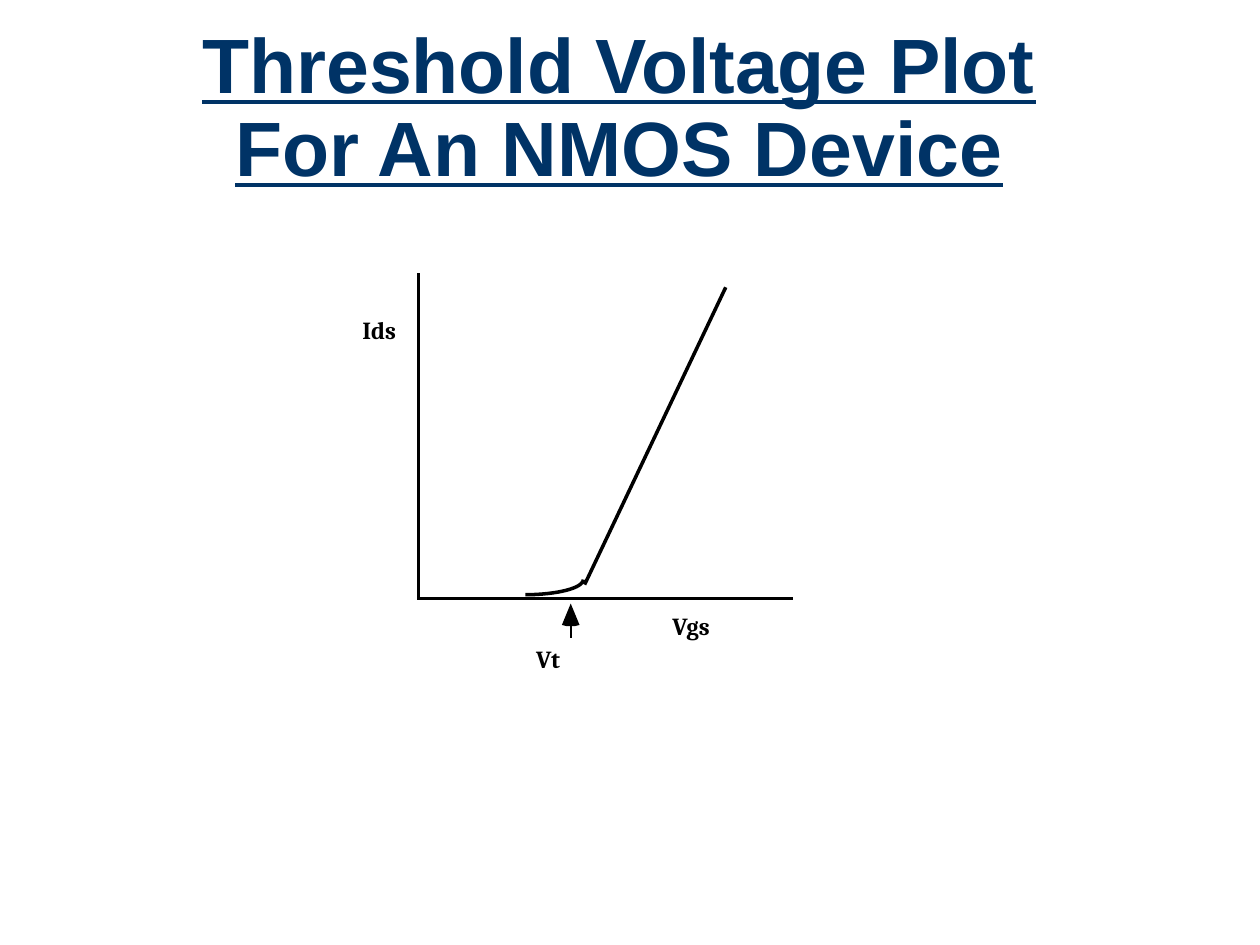
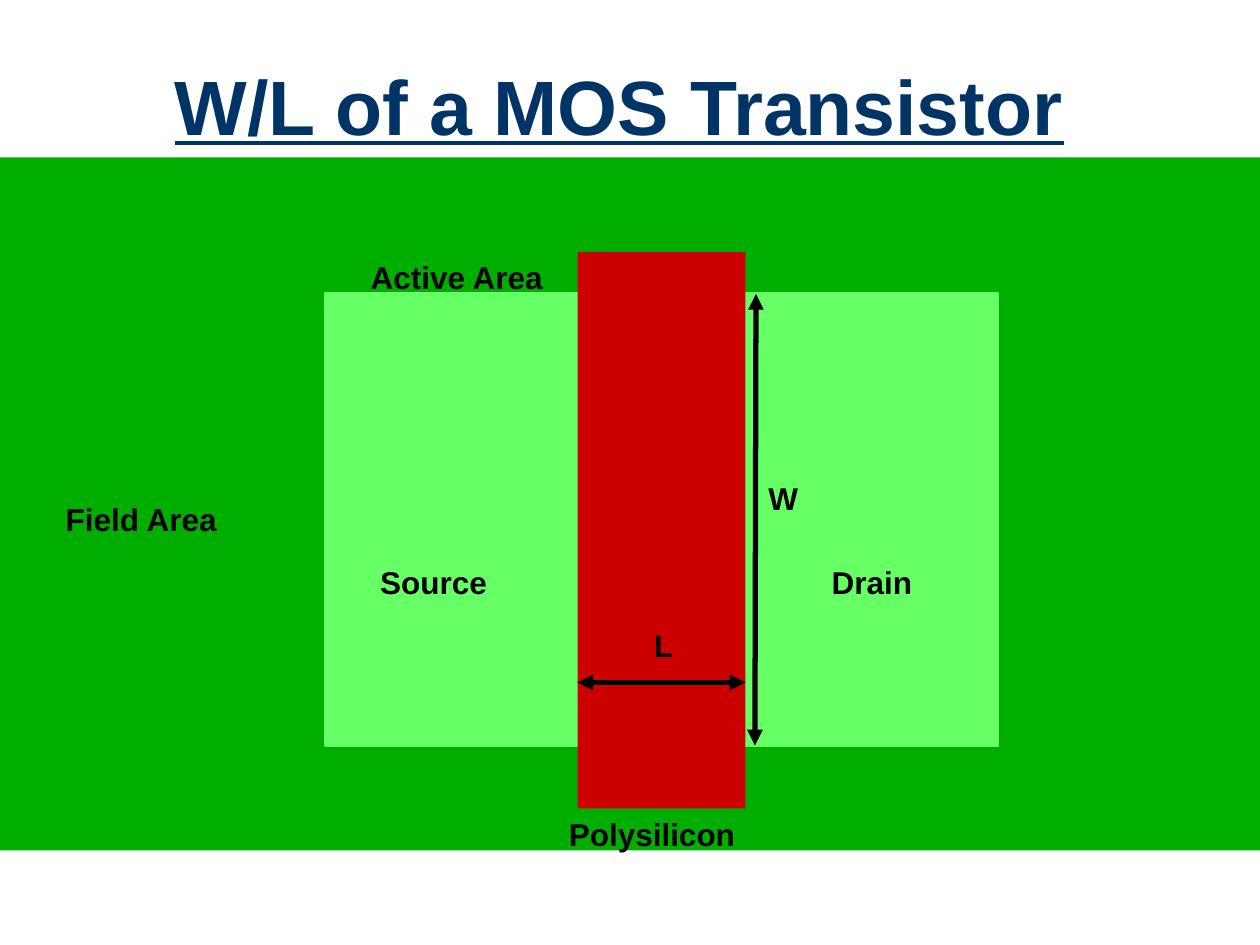
import math
from lxml import etree
from pptx import Presentation
from pptx import util as u
from pptx.dml.color import RGBColor
from pptx.enum import shapes, text
from pptx.oxml.ns import qn

SLIDE_W, SLIDE_H = 10, 7.5
NAVY, BLACK = "003366", "000000"
FIELD_GREEN, ACTIVE_GREEN, POLY_RED = "00AE00", "66FF66", "CC0000"
TITLE_BOX = (0.25, 0.25, 9.33, 1.25)

# Threshold plot, in inches
PLOT_TITLE = ["Threshold Voltage Plot", "For An NMOS Device"]
ORIGIN = (3.32, 4.75)
AXIS_TOP, AXIS_RIGHT = 2.17, 6.29
LINEAR_REGION = ((5.76, 2.28), (4.64, 4.64))
SUBTHRESHOLD = dict(left=4.17, top=4.6, width=0.46, height=0.12)
VT_X, VT_TIP, VT_BASE, VT_END = 4.53, 4.79, 4.96, 5.06
PLOT_LABELS = [  # wording, left, top, width
    ("Ids", 2.87, 2.5, 0.28),
    ("Vgs", 5.31, 4.85, 0.35),
    ("Vt", 4.24, 5.11, 0.22),
]

# Transistor layout, in cells of a twelfth of an inch: left, top, width, height
CELL = 1 / 12
LAYOUT_TITLE = ["W/L of a MOS Transistor"]
FIELD = (0, 15, 120, 66)
ACTIVE = (31, 28, 64, 43)
POLY = (55, 24, 16, 53)
LENGTH_ROW, WIDTH_COL = 65, 72
LABEL_ROWS = 4.8
LAYOUT_LABELS = [  # wording, left, top, width
    ("Active Area", 34.1, 24, 18.8),
    ("Polysilicon", 53, 77, 18.2),
    ("L", 61.1, 59, 4.2),
    ("W", 72, 45, 5.2),
    ("Source", 35, 53, 12.6),
    ("Drain", 78, 53, 10.1),
    ("Field Area", 5, 47, 16.9),
]


def color(hex_string):
    return RGBColor.from_string(hex_string)


def inches(values):
    return [u.Inches(v) for v in values]


def cells(values):
    return [v * CELL for v in values]


def write(frame, lines, font="Arial", size=18, fill=BLACK, underline=False,
          spacing=None, margins=(0.1, 0.05), wrap=False):
    """Fill a text frame with one centred bold paragraph, broken into lines."""
    frame.word_wrap = wrap
    frame.auto_size = text.MSO_AUTO_SIZE.NONE
    frame.vertical_anchor = text.MSO_ANCHOR.MIDDLE
    frame.margin_left = frame.margin_right = u.Inches(margins[0])
    frame.margin_top = frame.margin_bottom = u.Inches(margins[1])
    paragraph = frame.paragraphs[0]
    paragraph.alignment = text.PP_ALIGN.CENTER
    paragraph.line_spacing = spacing
    for i, line in enumerate(lines):
        if i:
            paragraph.add_line_break()
        run = paragraph.add_run()
        run.text = line
        run.font.name, run.font.size = font, u.Pt(size)
        run.font.bold, run.font.underline = True, underline
        run.font.color.rgb = color(fill)


def add_titled_slide(deck, title_lines):
    slide = deck.slides.add_slide(deck.slide_layouts[5])
    title = slide.shapes.title
    title.left, title.top, title.width, title.height = inches(TITLE_BOX)
    write(title.text_frame, title_lines, size=44, fill=NAVY, underline=True,
          spacing=0.9, wrap=True)
    return slide


def add_label(slide, wording, box, **style):
    write(slide.shapes.add_textbox(*inches(box)).text_frame, [wording], **style)


def paint(shape, fill=None, line=None, width=1):
    shape.shadow.inherit = False
    if fill:
        shape.fill.solid()
        shape.fill.fore_color.rgb = color(fill)
    else:
        shape.fill.background()
    if line:
        shape.line.color.rgb = color(line)
        shape.line.width = u.Pt(width)
    else:
        shape.line.fill.background()


def add_region(slide, box, fill, **line):
    region = slide.shapes.add_shape(shapes.MSO_SHAPE.RECTANGLE, *inches(cells(box)))
    paint(region, fill, **line)


def add_line(slide, start, end, width, arrows=False):
    line = slide.shapes.add_connector(
        shapes.MSO_CONNECTOR.STRAIGHT, *inches((*start, *end)))
    line.line.color.rgb = color(BLACK)
    line.line.width = u.Pt(width)
    if arrows:
        for tag in ("a:headEnd", "a:tailEnd"):
            etree.SubElement(line.line._get_or_add_ln(), qn(tag), type="triangle")
    etree.SubElement(line._element.spPr, qn("a:effectLst"))


def add_outline(slide, points, close=False, **style):
    first, *rest = [inches(point) for point in points]
    builder = slide.shapes.build_freeform(*first)
    builder.add_line_segments(rest, close=close)
    paint(builder.convert_to_shape(), **style)


def quarter_curve(left, top, width, height, steps=16):
    """Points of a quarter ellipse rising from lower left to upper right."""
    angles = [math.pi / 2 * i / steps for i in range(steps + 1)]
    return [(left + width * math.sin(a), top + height * math.cos(a)) for a in angles]


def build_threshold_plot(deck):
    slide = add_titled_slide(deck, PLOT_TITLE)
    x0, y0 = ORIGIN
    add_line(slide, (x0, AXIS_TOP), ORIGIN, 2)
    add_line(slide, (x0 - 0.01, y0), (AXIS_RIGHT, y0), 2)
    add_line(slide, *LINEAR_REGION, 2)
    add_outline(slide, quarter_curve(**SUBTHRESHOLD), line=BLACK, width=2)
    arrowhead = [(VT_X, VT_TIP), (VT_X + 0.07, VT_BASE), (VT_X + 0.03, VT_BASE + 0.01),
                 (VT_X - 0.03, VT_BASE + 0.01), (VT_X - 0.07, VT_BASE)]
    add_outline(slide, arrowhead, close=True, fill=BLACK)
    add_line(slide, (VT_X, VT_BASE - 0.09), (VT_X, VT_END), 1)
    for wording, left, top, width in PLOT_LABELS:
        add_label(slide, wording, (left, top, width, 0.23),
                  font="Cambria", size=14, margins=(0, 0))


def build_transistor_layout(deck):
    slide = add_titled_slide(deck, LAYOUT_TITLE)
    add_region(slide, FIELD, FIELD_GREEN)
    add_region(slide, ACTIVE, ACTIVE_GREEN, line=ACTIVE_GREEN, width=2.25)
    add_region(slide, POLY, POLY_RED)
    poly_left, _, length, _ = POLY
    _, active_top, _, width = ACTIVE
    for start, end in [
        ((poly_left, LENGTH_ROW), (poly_left + length, LENGTH_ROW)),
        ((WIDTH_COL, active_top), (WIDTH_COL - 0.1, active_top + width)),
    ]:
        add_line(slide, cells(start), cells(end), 3, arrows=True)
    for wording, *box in LAYOUT_LABELS:
        add_label(slide, wording, cells((*box, LABEL_ROWS)))


def main():
    deck = Presentation()
    deck.slide_width, deck.slide_height = inches((SLIDE_W, SLIDE_H))
    build_threshold_plot(deck)
    build_transistor_layout(deck)
    deck.save("out.pptx")


if __name__ == "__main__":
    main()
